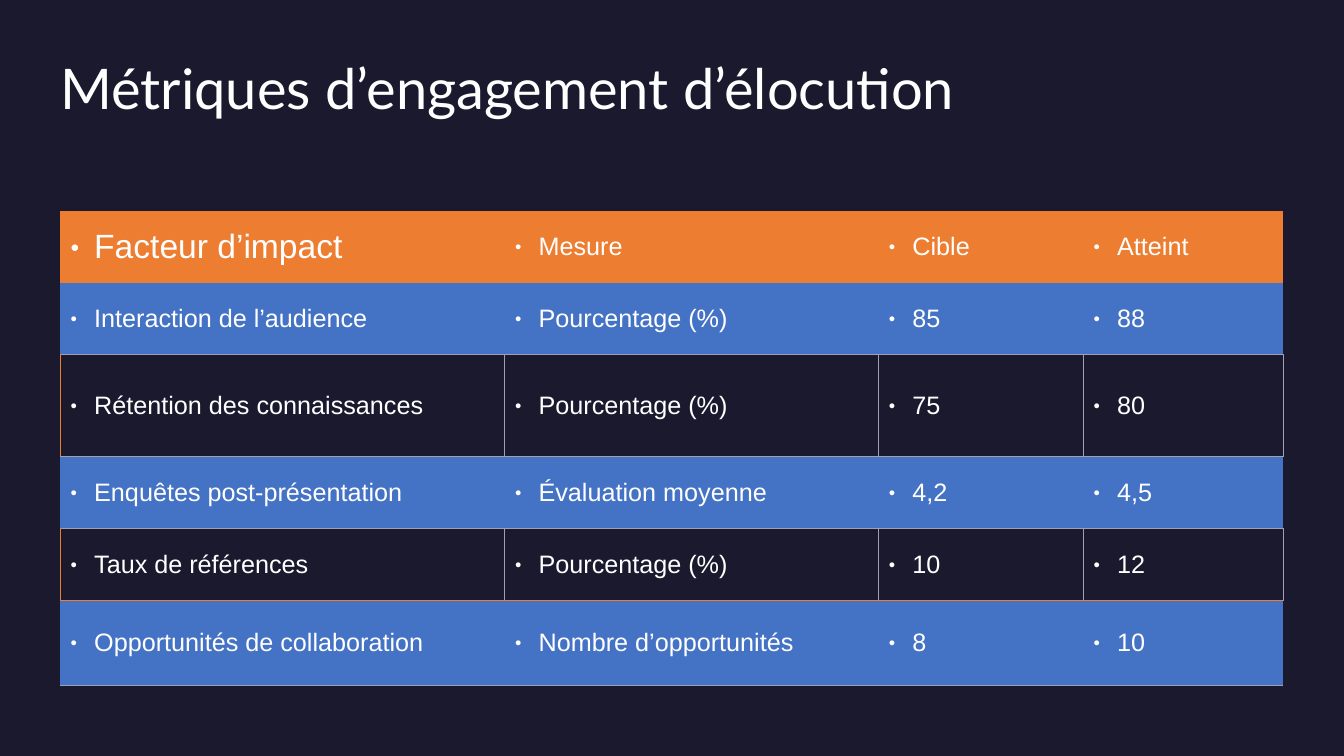
from dataclasses import dataclass

import lxml.etree
import pptx
import pptx.dml.color
import pptx.enum.text
import pptx.oxml.ns
import pptx.util

Cm = pptx.util.Cm
Pt = pptx.util.Pt
qn = pptx.oxml.ns.qn


@dataclass(frozen=True)
class Theme:
    background: str = "1B192E"
    text: str = "FFFFFF"
    header: str = "ED7D31"
    band: str = "4472C4"
    grid: str = "A0A0B4"
    title_font: str = "Lato"
    body_font: str = "Arial"
    title_size: int = 40
    lead_size: int = 24
    body_size: int = 18
    rule_width: float = 0.5


@dataclass(frozen=True)
class Metric:
    factor: str
    measure: str
    target: str
    reached: str
    height: float = 1.81
    fill: str | None = None
    edges: tuple[tuple[str, str], ...] = ()

    def texts(self) -> tuple[str, ...]:
        return self.factor, self.measure, self.target, self.reached


THEME = Theme()
NO_STYLE = "{2D5ABB26-0587-4C30-8999-92F81FD0307C}"
MARGIN = 1.52
CONTENT_WIDTH = 30.81
COLUMN_WIDTHS = (11.2, 9.42, 5.16, 5.03)
OPEN_EDGES = tuple((side, THEME.grid) for side in "LRTB")
CLOSING_EDGES = OPEN_EDGES[:3] + (("B", THEME.header),)

METRICS = (
    Metric("Facteur d’impact", "Mesure", "Cible", "Atteint", fill=THEME.header),
    Metric("Interaction de l’audience", "Pourcentage (%)", "85", "88", fill=THEME.band),
    Metric("Rétention des connaissances", "Pourcentage (%)", "75", "80",
           height=2.57, edges=OPEN_EDGES),
    Metric("Enquêtes post-présentation", "Évaluation moyenne", "4,2", "4,5", fill=THEME.band),
    Metric("Taux de références", "Pourcentage (%)", "10", "12", edges=CLOSING_EDGES),
    Metric("Opportunités de collaboration", "Nombre d’opportunités", "8", "10",
           height=2.14, fill=THEME.band, edges=(("B", THEME.grid),)),
)


def rgb(value: str) -> pptx.dml.color.RGBColor:
    return pptx.dml.color.RGBColor.from_string(value)


def add_run(paragraph, text: str, font: str, size: int) -> None:
    run = paragraph.add_run()
    run.text = text
    run.font.name = font
    run.font.size = Pt(size)
    run.font.color.rgb = rgb(THEME.text)


def add_color(parent, color: str) -> None:
    lxml.etree.SubElement(parent, qn("a:srgbClr"), val=color)


def add_bullet(paragraph) -> None:
    properties = paragraph._p.get_or_add_pPr()
    properties.set("marL", str(Cm(0.6)))
    properties.set("indent", str(-Cm(0.6)))
    add_color(lxml.etree.SubElement(properties, qn("a:buClr")), THEME.text)
    lxml.etree.SubElement(properties, qn("a:buSzPct"), val="45000")
    lxml.etree.SubElement(properties, qn("a:buFont"), typeface=THEME.body_font)
    lxml.etree.SubElement(properties, qn("a:buChar"), char="●")


def add_edge(cell, side: str, color: str) -> None:
    properties = cell._tc.get_or_add_tcPr()
    edge = lxml.etree.SubElement(properties, qn(f"a:ln{side}"), w=str(Pt(THEME.rule_width)))
    add_color(lxml.etree.SubElement(edge, qn("a:solidFill")), color)


def fill_cell(cell, metric: Metric, text: str, size: int, first: bool) -> None:
    cell.vertical_anchor = pptx.enum.text.MSO_ANCHOR.MIDDLE
    for side, color in metric.edges:
        outer_left = first and side == "L"
        add_edge(cell, side, THEME.header if outer_left else color)
    if metric.fill:
        cell.fill.solid()
        cell.fill.fore_color.rgb = rgb(metric.fill)
    else:
        cell.fill.background()
    paragraph = cell.text_frame.paragraphs[0]
    add_bullet(paragraph)
    add_run(paragraph, text, THEME.body_font, size)


def add_title(slide, text: str) -> None:
    title = slide.shapes.add_textbox(Cm(MARGIN), Cm(1.55), Cm(CONTENT_WIDTH), Cm(3.3))
    frame = title.text_frame
    frame.word_wrap = True
    frame.margin_left = frame.margin_right = frame.margin_top = frame.margin_bottom = 0
    paragraph = frame.paragraphs[0]
    paragraph.line_spacing = 0.9
    add_run(paragraph, text, THEME.title_font, THEME.title_size)


def add_metrics(slide, metrics: tuple[Metric, ...]) -> None:
    total_height = sum(metric.height for metric in metrics)
    frame = slide.shapes.add_table(len(metrics), len(COLUMN_WIDTHS), Cm(MARGIN), Cm(5.32),
                                   Cm(CONTENT_WIDTH), Cm(total_height))
    grid = frame.table
    grid.horz_banding = False
    for style in grid._tbl.iter(qn("a:tableStyleId")):
        style.text = NO_STYLE
    for column, width in zip(grid.columns, COLUMN_WIDTHS):
        column.width = Cm(width)
    for row_index, metric in enumerate(metrics):
        grid.rows[row_index].height = Cm(metric.height)
        for column_index, text in enumerate(metric.texts()):
            is_lead = row_index == column_index == 0
            size = THEME.lead_size if is_lead else THEME.body_size
            fill_cell(grid.cell(row_index, column_index), metric, text, size, column_index == 0)


def main() -> None:
    presentation = pptx.Presentation()
    presentation.slide_width = Cm(33.87)
    presentation.slide_height = Cm(19.05)
    slide = presentation.slides.add_slide(presentation.slide_layouts[6])
    slide.background.fill.solid()
    slide.background.fill.fore_color.rgb = rgb(THEME.background)
    add_title(slide, "Métriques d’engagement d’élocution")
    add_metrics(slide, METRICS)
    presentation.save("out.pptx")


if __name__ == "__main__":
    main()
